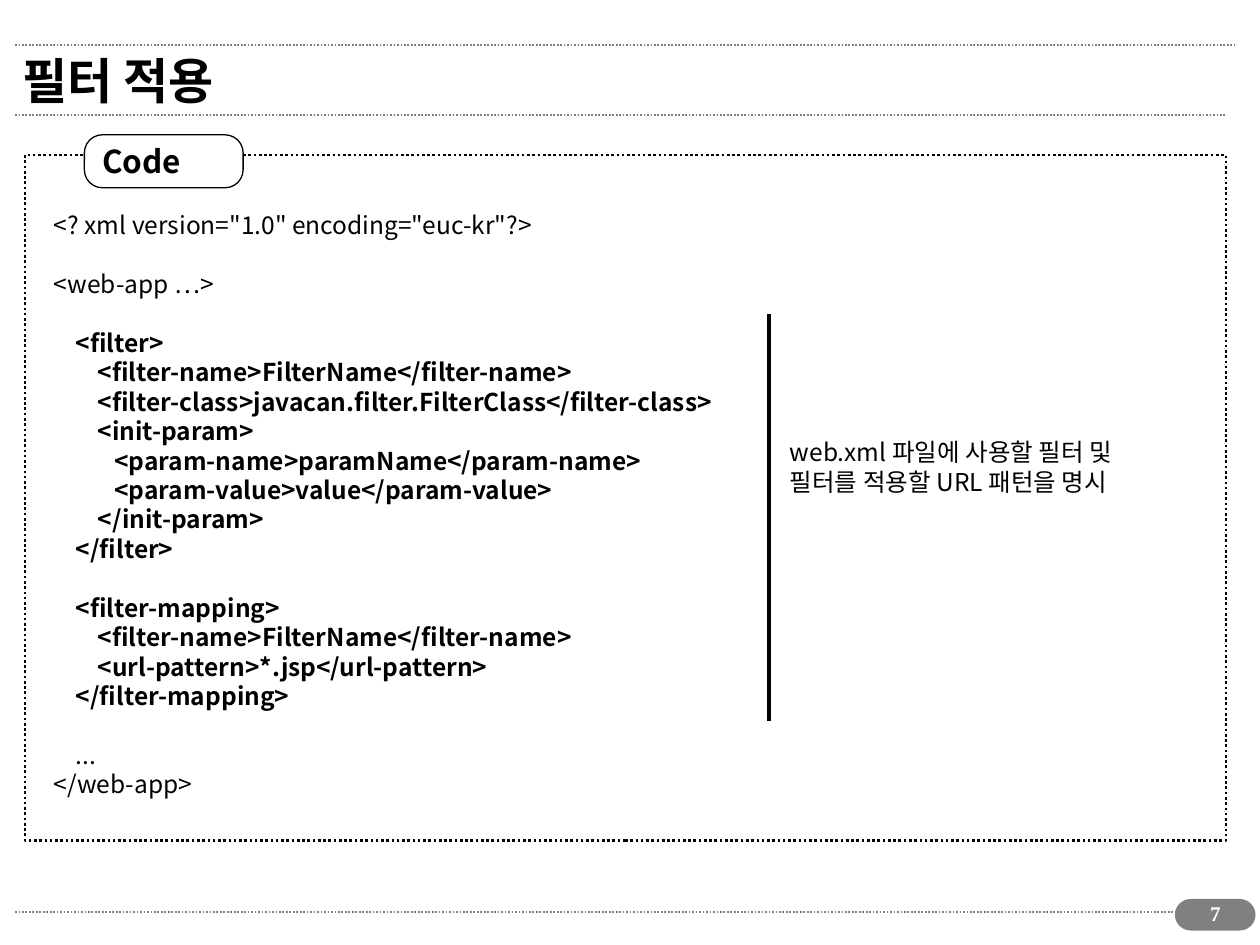
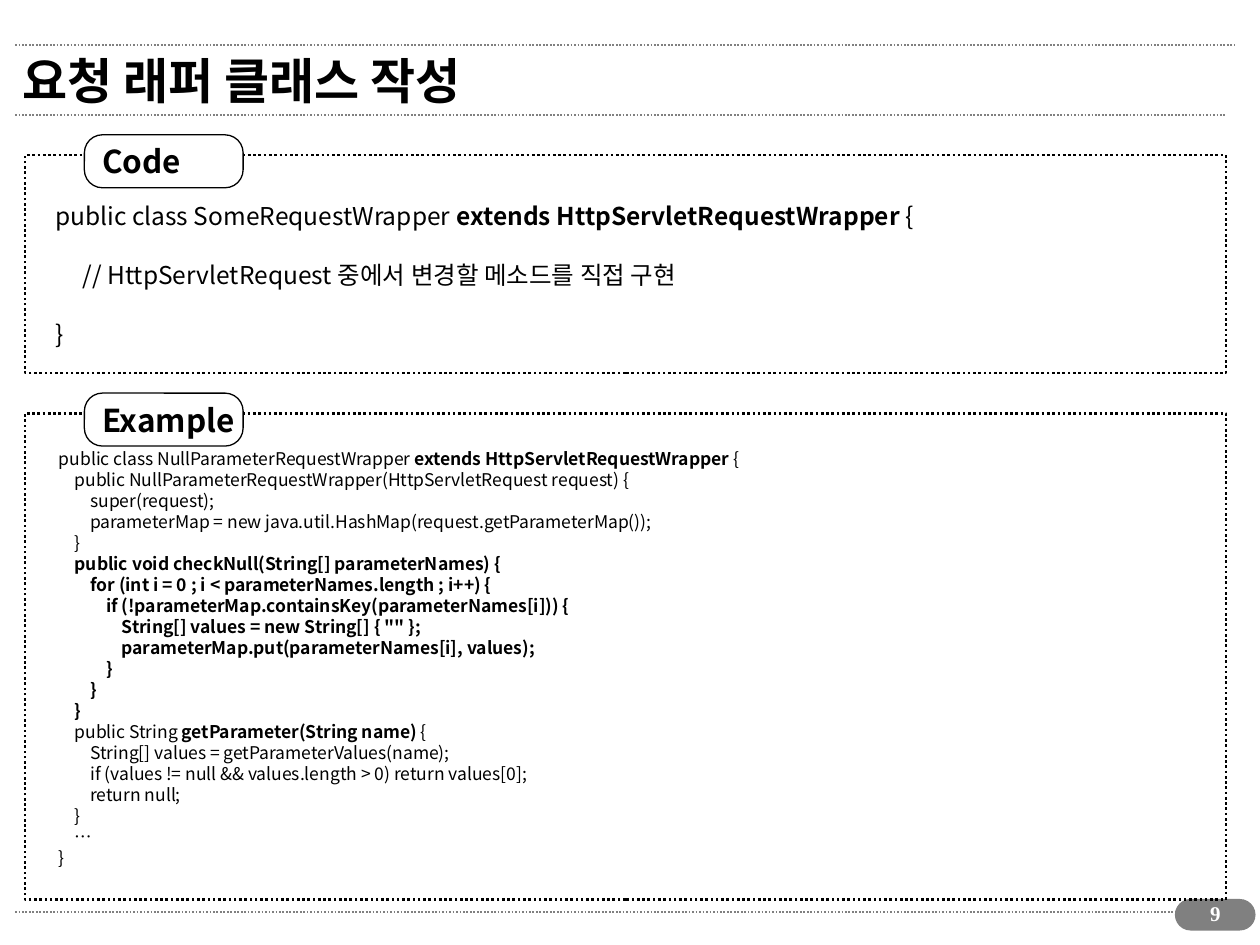
from dataclasses import dataclass
from lxml.etree import SubElement as Sub
from pptx import Presentation
from pptx.dml.color import RGBColor as RGB
from pptx.enum.dml import MSO_LINE as Dash
from pptx.enum.shapes import MSO_CONNECTOR as Conn, MSO_SHAPE as Kind
from pptx.enum.text import MSO_ANCHOR as Anchor, PP_ALIGN as Align
from pptx.oxml.ns import qn
from pptx.util import Inches, Pt


@dataclass(frozen=True)
class Theme:
    ink = RGB(0, 0, 0)
    gray = RGB(0x80, 0x80, 0x80)
    white = RGB(255, 255, 255)
    font = "Noto Sans CJK KR"
    serif = "Times New Roman"
    title = 28
    label = 18
    code = 14
    small = 10
    page = 12
    lead = 1.2
    space = 0.224


look = Theme()

FILTER = """\
<? xml version="1.0" encoding="euc-kr"?>

<web-app …>

    |<filter>
        |<filter-name>FilterName</filter-name>
        |<filter-class>javacan.filter.FilterClass</filter-class>
        |<init-param>
           |<param-name>paramName</param-name>
           |<param-value>value</param-value>
        |</init-param>
    |</filter>

    |<filter-mapping>
        |<filter-name>FilterName</filter-name>
        |<url-pattern>*.jsp</url-pattern>
    |</filter-mapping>

    ...
</web-app>"""

NOTE = """\
web.xml 파일에 사용할 필터 및
필터를 적용할 URL 패턴을 명시"""

WRAPPER = """\
public class SomeRequestWrapper |extends HttpServletRequestWrapper| {

     // HttpServletRequest 중에서 변경할 메소드를 직접 구현

}"""

SAMPLE = """\
public class NullParameterRequestWrapper |extends HttpServletRequestWrapper| {
    public NullParameterRequestWrapper(HttpServletRequest request) {
        super(request);
        parameterMap = new java.util.HashMap(request.getParameterMap());
    }
    |public void checkNull(String[] parameterNames) {
        |for (int i = 0 ; i < parameterNames.length ; i++) {
            |if (!parameterMap.containsKey(parameterNames[i])) {
                |String[] values = new String[] { "" };
                |parameterMap.put(parameterNames[i], values);
            |}
        |}
    |}
    public String |getParameter(String name)| {
        String[] values = getParameterValues(name);
        if (values != null && values.length > 0) return values[0];
        return null;
    }
    …
}"""

# Panels: label, top, height. Texts: words, left, top, width, height, size.
pages = [
    dict(
        num="7",
        title="필터 적용",
        panels=[("Code", 1.23, 5.44)],
        texts=[
            (FILTER, 0.33, 1.62, 5.93, 4.77, look.code),
            (NOTE, 6.17, 3.42, 2.95, 0.57, look.code),
        ],
        bars=[(6.1, 2.49, 5.72)],
    ),
    dict(
        num="9",
        title="요청 래퍼 클래스 작성",
        panels=[("Code", 1.23, 1.73), ("Example", 3.28, 3.86)],
        texts=[
            (WRAPPER, 0.34, 1.55, 7.2, 1.27, look.code),
            (SAMPLE, 0.37, 3.51, 5.8, 3.44, look.small),
        ],
        bars=[],
    ),
]


def write(shape, words, size, color=look.ink, face=look.font,
          anchor=Anchor.TOP, align=Align.LEFT, wrap=True):
    """Fill a shape: | switches bold, leading blanks indent, empty lines add a gap."""
    frame = shape.text_frame
    frame.word_wrap = wrap
    frame.vertical_anchor = anchor
    para, gap = frame.paragraphs[0], 0
    for row, line in enumerate(words.split("\n")):
        if not line:
            gap += size * look.lead
            continue
        if row:
            para = frame.add_paragraph()
        para.alignment = align
        para.line_spacing = Pt(size * look.lead)
        para.space_before = Pt(gap)
        gap = 0
        body = line.lstrip(" ")
        indent = (len(line) - len(body)) * size * look.space
        para._p.get_or_add_pPr().set("marL", str(Pt(indent)))
        for turn, part in enumerate(body.split("|")):
            if part:
                run = para.add_run()
                run.text = part
                run.font.size = Pt(size)
                run.font.name = face
                run.font.bold = turn % 2 == 1
                run.font.color.rgb = color
                Sub(run._r.rPr, qn("a:ea")).set("typeface", face)


def rule(slide, x1, y1, x2, y2, color, width, dash=None):
    line = slide.shapes.add_connector(
        Conn.STRAIGHT, Inches(x1), Inches(y1), Inches(x2), Inches(y2))
    line.line.color.rgb = color
    line.line.width = Pt(width)
    line.line.dash_style = dash
    Sub(line._element.spPr, qn("a:effectLst"))


deck = Presentation()
deck.slide_width, deck.slide_height = Inches(10), Inches(7.5)

for page in pages:
    slide = deck.slides.add_slide(deck.slide_layouts[6])
    shapes = slide.shapes

    for right, y in [(9.73, 7.24), (9.72, 0.91), (9.8, 0.36)]:
        rule(slide, 0.12, y, right, y, look.gray, 1, Dash.ROUND_DOT)
    pill = shapes.add_shape(Kind.ROUNDED_RECTANGLE, Inches(9.33),
                            Inches(7.14), Inches(0.63), Inches(0.24))
    pill.adjustments[0] = 0.5
    pill.shadow.inherit = False
    pill.fill.solid()
    pill.fill.fore_color.rgb = look.gray
    pill.line.color.rgb = look.gray
    pill.line.width = Pt(0.75)

    title = shapes.add_textbox(Inches(0.08), Inches(0.28),
                               Inches(9.1), Inches(0.71))
    write(title, "|" + page["title"], look.title, anchor=Anchor.MIDDLE)

    for label, top, height in page["panels"]:
        frame = shapes.add_shape(Kind.RECTANGLE, Inches(0.2), Inches(top),
                                 Inches(9.53), Inches(height))
        frame.shadow.inherit = False
        frame.fill.background()
        frame.line.color.rgb = look.ink
        frame.line.width = Pt(1.5)
        frame.line.dash_style = Dash.ROUND_DOT

        tab = shapes.add_shape(Kind.ROUNDED_RECTANGLE, Inches(0.67),
                               Inches(top - 0.16), Inches(1.26), Inches(0.42))
        tab.adjustments[0] = 0.34
        tab.shadow.inherit = False
        tab.fill.solid()
        tab.fill.fore_color.rgb = look.white
        tab.line.color.rgb = look.ink
        tab.line.width = Pt(0.75)
        write(tab, "|" + label, look.label, anchor=Anchor.MIDDLE, wrap=False)

    for words, left, top, width, height, size in page["texts"]:
        box = shapes.add_textbox(Inches(left), Inches(top),
                                 Inches(width), Inches(height))
        write(box, words, size)

    for x, top, end in page["bars"]:
        rule(slide, x, top, x, end, look.ink, 2.25)

    num = shapes.add_textbox(Inches(9.37), Inches(7.1),
                             Inches(0.55), Inches(0.34))
    write(num, "|" + page["num"], look.page, look.white, look.serif,
          align=Align.CENTER)

deck.save("out.pptx")
